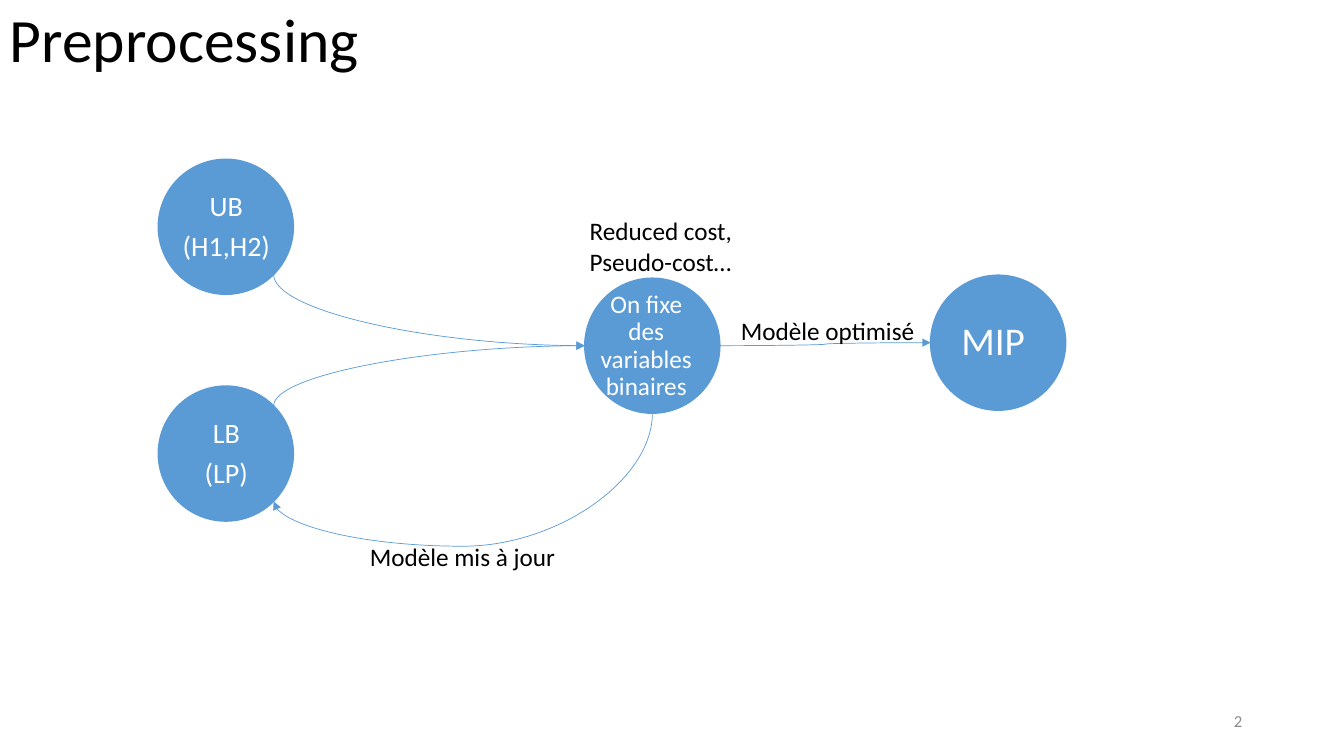
import math
from dataclasses import dataclass
from lxml import etree
from pptx import Presentation, util as u
from pptx.dml.color import RGBColor
from pptx.enum import shapes, text
from pptx.oxml.ns import qn


@dataclass(frozen=True)
class Theme:
    font: str = "Calibri"
    black: str = "000000"
    white: str = "FFFFFF"
    blue: str = "5B9BD5"
    grey: str = "8C8C8C"
    title: int = 44
    strong: int = 28
    node: int = 20
    label: int = 18
    number: int = 12


THEME = Theme()
DIAMETER = 1.34
# Ellipse connection sites run counterclockwise from the top
TOP, LEFT, BOTTOM, LOWER_RIGHT, RIGHT, UPPER_RIGHT = 0, 2, 4, 5, 6, 7


def apply(target, values):
    for name, value in values.items():
        setattr(target, name, value)


def add_text(slide, box, lines, size, color, frame_format=None, paragraph_format=None):
    frame = slide.shapes.add_textbox(*map(u.Inches, box)).text_frame
    apply(frame, {"word_wrap": True, **(frame_format or {})})
    for index, line in enumerate(lines):
        paragraph = frame.add_paragraph() if index else frame.paragraphs[0]
        apply(paragraph, paragraph_format or {})
        run = paragraph.add_run()
        run.text = line
        apply(run.font, {"name": THEME.font, "size": u.Pt(size)})
        run.font.color.rgb = RGBColor.from_string(color)


def add_node(slide, box, lines, size, text_left, text_width):
    """Circle with its caption; the caption place is relative to the box."""
    left, top, width, height = box
    circle = slide.shapes.add_shape(shapes.MSO_SHAPE.OVAL, *map(u.Inches, box))
    circle.shadow.inherit = False
    circle.fill.solid()
    blue = RGBColor.from_string(THEME.blue)
    circle.fill.fore_color.rgb = circle.line.color.rgb = blue
    circle.line.width = u.Pt(1)
    inset = u.Inches(0.02)
    margins = {f"margin_{side}": inset for side in ("left", "right", "top", "bottom")}
    add_text(slide, (left + text_left, top + 0.2, text_width, height - 0.39),
             lines, size, THEME.white,
             {"vertical_anchor": text.MSO_ANCHOR.MIDDLE, **margins},
             {"alignment": text.PP_ALIGN.CENTER, "line_spacing": 0.9,
              "space_after": u.Pt(0.35 * size)})
    return circle


def site_point(circle, site):
    angle, radius = math.radians(45 * site), circle.width / 2
    return (round(circle.left + radius * (1 - math.sin(angle))),
            round(circle.top + radius * (1 - math.cos(angle))))


def add_arrow(slide, start, end, preset, rotation=0, flips="", bend=None):
    """Curved arrow between two (circle, site) pairs."""
    (x1, y1), (x2, y2) = site_point(*start), site_point(*end)
    connector = slide.shapes.add_connector(shapes.MSO_CONNECTOR.CURVE, x1, y1, x2, y2)
    connector.line.color.rgb = RGBColor.from_string(THEME.blue)
    connector.line.width = u.Pt(0.5)
    # A quarter turn swaps width and height about the same centre
    width, height = abs(x2 - x1), abs(y2 - y1)
    if rotation % 180:
        width, height = height, width
    apply(connector, {"left": (x1 + x2 - width) // 2, "top": (y1 + y2 - height) // 2,
                      "width": width, "height": height})
    properties = connector._element.spPr
    transform = properties.find(qn("a:xfrm"))
    transform.set("rot", str(rotation * 60000))
    for axis in "HV":
        transform.set("flip" + axis, str(int(axis in flips)))
    geometry = properties.find(qn("a:prstGeom"))
    geometry.set("prst", preset)
    if bend is not None:
        adjustments = geometry.find(qn("a:avLst"))
        if adjustments is None:
            adjustments = etree.SubElement(geometry, qn("a:avLst"))
        etree.SubElement(adjustments, qn("a:gd"), name="adj1",
                         fmla=f"val {round(bend * 100000)}")
    # Arrowhead, no shadow, and links to the circles
    etree.SubElement(properties.find(qn("a:ln")), qn("a:tailEnd"), type="triangle")
    etree.SubElement(properties, qn("a:effectLst"))
    links = connector._element.find(qn("p:nvCxnSpPr")).find(qn("p:cNvCxnSpPr"))
    for tag, (circle, site) in (("a:stCxn", start), ("a:endCxn", end)):
        etree.SubElement(links, qn(tag), id=str(circle.shape_id), idx=str(site))


def add_header(slide, box):
    add_text(slide, box, ["Preprocessing"], THEME.title, THEME.black,
             {"vertical_anchor": text.MSO_ANCHOR.MIDDLE}, {"line_spacing": 0.9})


def add_diagram(slide, box):
    left, top = box[:2]

    def node(x, y, *caption):
        return add_node(slide, (left + x, top + y, DIAMETER, DIAMETER), *caption)

    def label(x, y, width, height, *lines, wrap=False):
        add_text(slide, (left + x, top + y, width, height), lines,
                 THEME.label, THEME.black, {"word_wrap": wrap})

    # Nodes
    upper = node(0, 0, ["UB", "(H1,H2)"], THEME.node, 0.2, 0.95)
    lower = node(0, 2.25, ["LB", "(LP)"], THEME.node, 0.2, 0.95)
    fixing = node(4.23, 1.18, ["On fixe des variables binaires"], THEME.label, 0.04, 1.14)
    solver = node(7.66, 1.15, ["MIP"], THEME.strong, 0.05, 1.14)

    # Arrows
    add_arrow(slide, (upper, LOWER_RIGHT), (fixing, LEFT), "curvedConnector2", 270, "H")
    add_arrow(slide, (lower, UPPER_RIGHT), (fixing, LEFT), "curvedConnector2", 90, "HV")
    add_arrow(slide, (fixing, BOTTOM), (lower, LOWER_RIGHT), "curvedConnector3", 90, bend=1.51)
    add_arrow(slide, (fixing, RIGHT), (solver, LEFT), "curvedConnector3", 0, "V", 0.5)

    # Labels
    label(4.18, 0.51, 1.95, 0.71, "Reduced cost,", "Pseudo-cost…", wrap=True)
    label(2, 3.74, 2.06, 0.4, "Modèle mis à jour")
    label(5.68, 1.5, 1.94, 0.4, "Modèle optimisé")


def add_slide_number(slide, box):
    add_text(slide, box, ["2"], THEME.number, THEME.grey,
             {"vertical_anchor": text.MSO_ANCHOR.MIDDLE},
             {"alignment": text.PP_ALIGN.RIGHT})


presentation = Presentation()
apply(presentation, {"slide_width": u.Inches(13.33), "slide_height": u.Inches(7.5)})
slide = presentation.slides.add_slide(presentation.slide_layouts[6])
add_header(slide, (0, 0, 11.5, 0.84))
add_diagram(slide, (1.57, 1.58, 9, 4.14))
add_slide_number(slide, (9.42, 6.95, 3, 0.4))
presentation.save("out.pptx")
